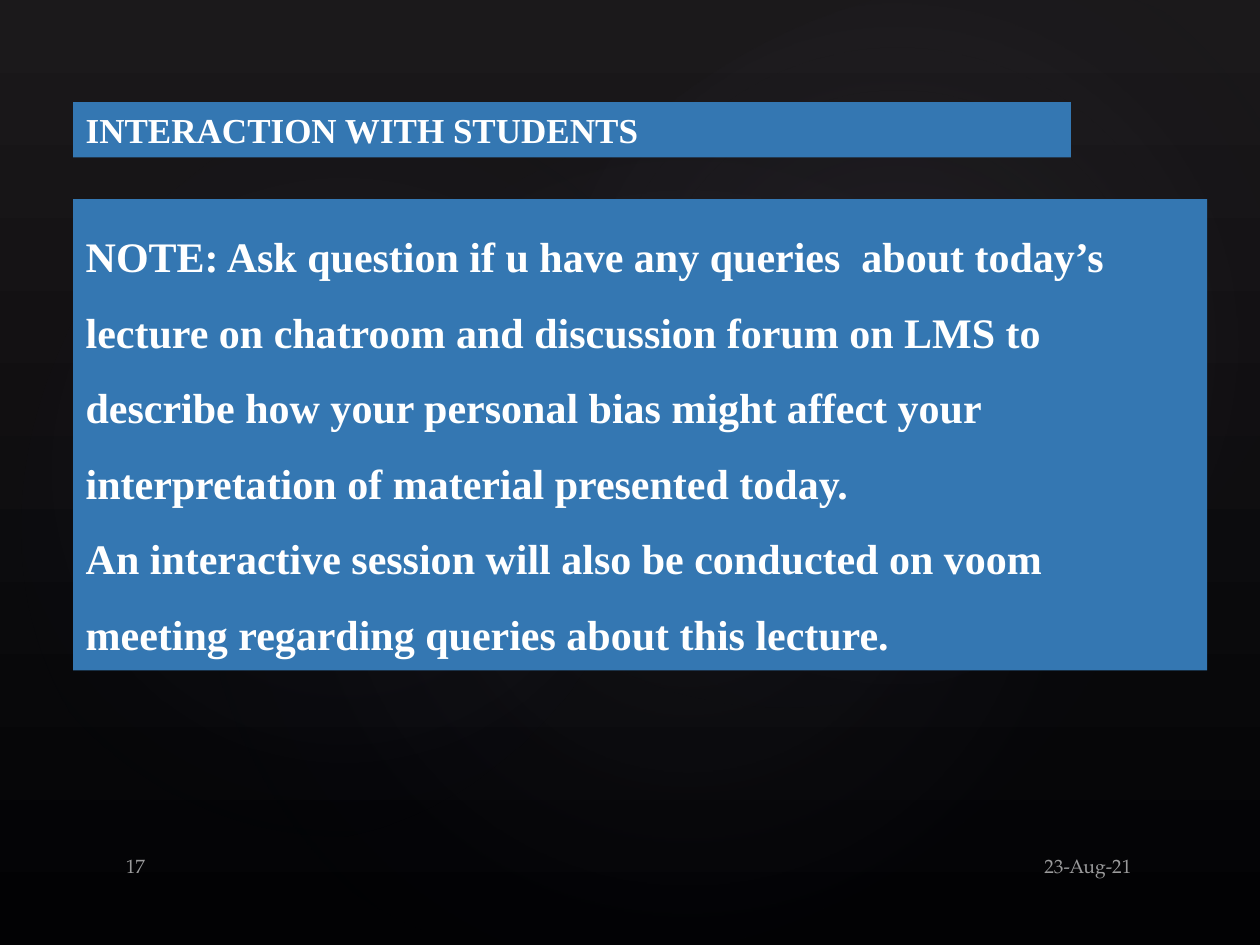
from lxml import etree
from pptx import Presentation
from pptx.dml.color import RGBColor
from pptx.enum.shapes import MSO_SHAPE
from pptx.enum.text import MSO_ANCHOR, MSO_AUTO_SIZE, PP_ALIGN
from pptx.oxml import parse_xml
from pptx.util import Inches, Pt

OVAL = MSO_SHAPE.OVAL
LEFT, RIGHT = PP_ALIGN.LEFT, PP_ALIGN.RIGHT
TOP, MIDDLE = MSO_ANCHOR.TOP, MSO_ANCHOR.MIDDLE
NO_FIT = MSO_AUTO_SIZE.NONE
NS = "http://schemas.openxmlformats.org/drawingml/2006/main"
COLORS = {"top": "1B191B", "bottom": "020204", "glow": "C4BCC6", "fade": "242852",
          "panel": "3477B2", "text": "FFFFFF", "footer": "9B9B9C"}
MARGIN = 0.58
GLOWS = [((1.5, 1.14, 7.92, 6.24), 328.7, 7),
         ((-0.3, 1.28, 6.06, 4.9), 294.3, 8),
         ((3.58, 0.13, 7.09, 5.2), 328.7, 8)]
TITLE = "INTERACTION WITH STUDENTS"
NOTES = [
    "NOTE: Ask question if u have any queries  about today’s lecture on chatroom "
    "and discussion forum on LMS to describe how your personal bias might affect "
    "your interpretation of material presented today.",
    "An interactive session will also be conducted on voom meeting regarding "
    "queries about this lecture.",
]


def rgb(name):
    """Return the named colour."""
    return RGBColor.from_string(COLORS[name])


def place(sp, box):
    """Move a shape to a box given in inches."""
    sp.left, sp.top, sp.width, sp.height = map(Inches, box)


def add_backdrop(slide):
    """Shade the background from top to bottom."""
    fill = slide.background.fill
    fill.gradient()
    fill.gradient_angle = 270
    for stop, name in zip(fill.gradient_stops, ("top", "bottom")):
        stop.color.rgb = rgb(name)


def add_glow(slide, box, angle, strength):
    """Add a soft radial light behind the text."""
    sp = slide.shapes.add_shape(OVAL, *map(Inches, box))
    sp.rotation = angle
    sp.shadow.inherit = False
    sp.line.fill.background()
    stops = "".join(
        f'<a:gs pos="{pos * 1000}"><a:srgbClr val="{COLORS[name]}">'
        f'<a:alpha val="{alpha * 1000}"/></a:srgbClr></a:gs>'
        for pos, name, alpha in ((0, "glow", strength), (58, "fade", 0), (100, "fade", 0)))
    grad = parse_xml(
        f'<a:gradFill xmlns:a="{NS}"><a:gsLst>{stops}</a:gsLst><a:path path="circle">'
        '<a:fillToRect l="50000" t="50000" r="50000" b="50000"/></a:path></a:gradFill>')
    sp._element.spPr.find(f"{{{NS}}}prstGeom").addnext(grad)
    return sp


def write(sp, lines, font, size, color, bold=False, align=LEFT, anchor=TOP, spacing=1.0):
    """Write evenly formatted paragraphs without bullets."""
    tf = sp.text_frame
    tf.text = "\n".join(lines)
    tf.word_wrap = True
    tf.auto_size = NO_FIT
    tf.vertical_anchor = anchor
    for p in tf.paragraphs:
        p.alignment = align
        p.line_spacing = spacing
        p.space_before = Pt(0)
        p.font.name, p.font.size, p.font.bold = font, Pt(size), bold
        p.font.color.rgb = rgb(color)
        pPr = p._p.get_or_add_pPr()
        pPr.set("marL", "0")
        pPr.set("indent", "0")
        bullet = etree.Element(f"{{{NS}}}buNone")
        pPr.find(f"{{{NS}}}defRPr").addprevious(bullet)


def fill_panel(sp, box, lines, size, **style):
    """Turn a placeholder into a solid text panel."""
    place(sp, box)
    sp.fill.solid()
    sp.fill.fore_color.rgb = rgb("panel")
    write(sp, lines, "Times New Roman", size, "text", bold=True, **style)


def add_footer(slide, box, text, align):
    """Add one small footer text."""
    sp = slide.shapes.add_textbox(*map(Inches, box))
    write(sp, [text], "TeX Gyre Pagella", 11, "footer", align=align)


def main():
    """Build and save the slide."""
    prs = Presentation()
    prs.slide_width, prs.slide_height = Inches(10), Inches(7.5)
    slide = prs.slides.add_slide(prs.slide_layouts[1])
    add_backdrop(slide)
    for i, glow in enumerate(GLOWS):
        sp = add_glow(slide, *glow)
        slide.shapes._spTree.insert(2 + i, sp._element)
    fill_panel(slide.shapes.title, (MARGIN, 0.81, 7.92, 0.44), [TITLE], 20, anchor=MIDDLE)
    fill_panel(slide.placeholders[1], (MARGIN, 1.58, 9, 3.74), NOTES, 24, spacing=1.5)
    add_footer(slide, (6.75, 6.73, 2.33, 0.4), "23-Aug-21", RIGHT)
    add_footer(slide, (0.9, 6.73, 5, 0.4), "17", LEFT)
    prs.save("out.pptx")


if __name__ == "__main__":
    main()
